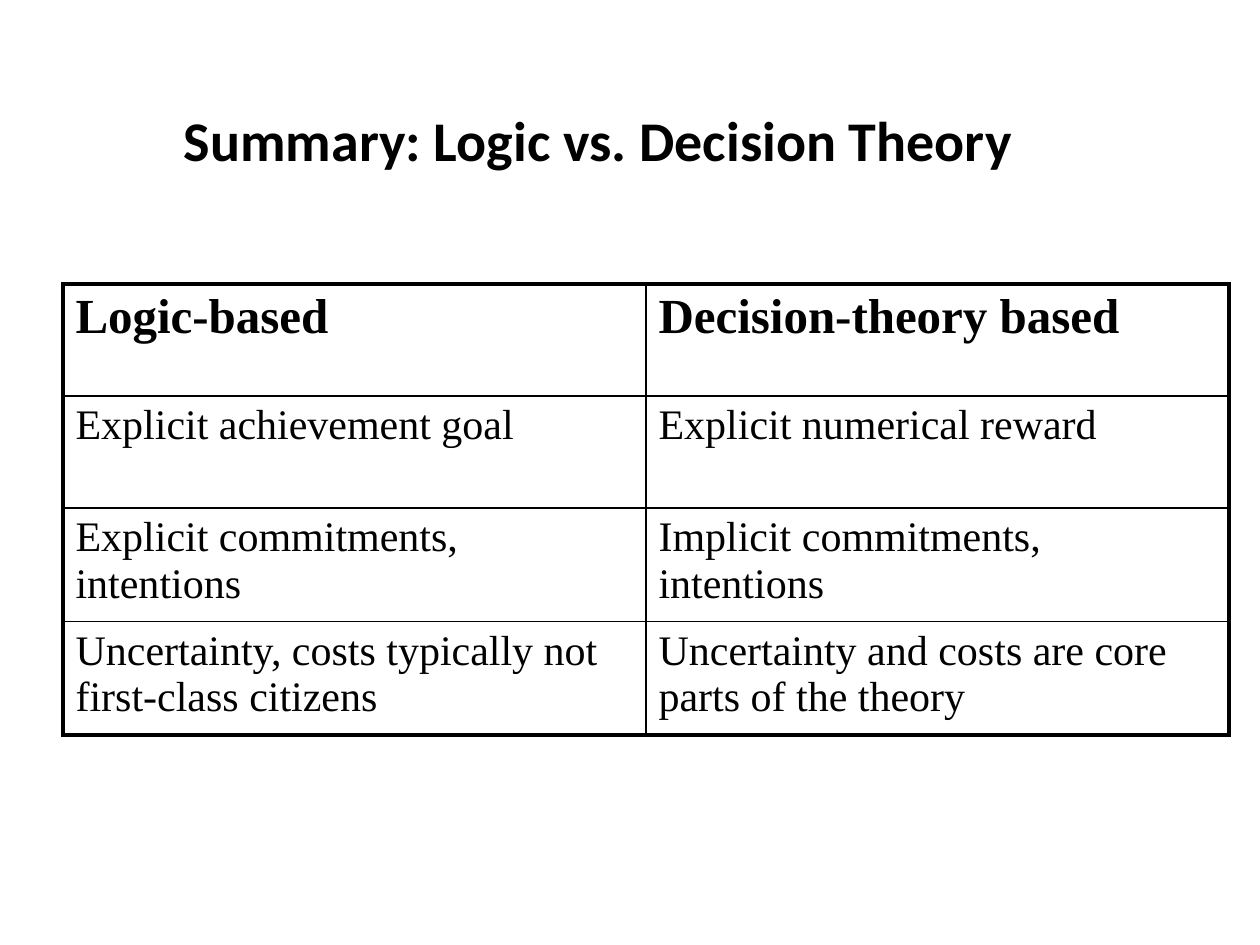
from dataclasses import dataclass

import pptx
import pptx.dml.color
import pptx.enum.text
import pptx.oxml
import pptx.oxml.ns
import pptx.table
import pptx.util

BLACK = pptx.dml.color.RGBColor(0x00, 0x00, 0x00)
EMU_PER_PX = 914400 / 126
THICK, THIN = 2.25, 1


@dataclass(frozen=True)
class ComparisonRow:
    logic: str
    decision: str
    size: int = 24
    bold: bool = False


ROWS = [
    ComparisonRow("Logic-based", "Decision-theory based", 28, True),
    ComparisonRow("Explicit achievement goal", "Explicit numerical reward"),
    ComparisonRow("Explicit commitments, intentions", "Implicit commitments, intentions"),
    ComparisonRow("Uncertainty, costs typically not first-class citizens",
                  "Uncertainty and costs are core parts of the theory"),
]


def px(n: int) -> pptx.util.Emu:
    return pptx.util.Emu(round(n * EMU_PER_PX))


def style(font, name: str, size: int, bold: bool) -> None:
    font.name = name
    font.size = pptx.util.Pt(size)
    font.bold = bold
    font.color.rgb = BLACK


def set_border(cell: pptx.table._Cell, side: str, width: float) -> None:
    ln = pptx.oxml.parse_xml(
        f'<a:ln{side} {pptx.oxml.ns.nsdecls("a")} w="{pptx.util.Pt(width)}">'
        f'<a:solidFill><a:srgbClr val="{BLACK}"/></a:solidFill></a:ln{side}>')
    cell._tc.get_or_add_tcPr().append(ln)


def add_title(slide, text: str) -> None:
    tf = slide.shapes.add_textbox(px(63), px(21), px(1071), px(158)).text_frame
    tf.word_wrap = True
    tf.vertical_anchor = pptx.enum.text.MSO_ANCHOR.BOTTOM
    p = tf.paragraphs[0]
    p.text = text
    p.alignment = pptx.enum.text.PP_ALIGN.CENTER
    style(p.font, "Calibri", 32, True)


def add_comparison(slide, rows: list[ComparisonRow]) -> None:
    row_height = px(112)
    table = slide.shapes.add_table(
        len(rows), 2, px(63), px(284), px(1166), row_height * len(rows)).table
    table.first_row = False
    table.horz_banding = False
    last = len(rows) - 1
    for i, row in enumerate(rows):
        table.rows[i].height = row_height
        for j, text in enumerate((row.logic, row.decision)):
            cell = table.cell(i, j)
            p = cell.text_frame.paragraphs[0]
            p.text = text
            style(p.font, "Times New Roman", row.size, row.bold)
            outer = {"L": j == 0, "R": j == 1, "T": i == 0, "B": i == last}
            for side, is_outer in outer.items():
                set_border(cell, side, THICK if is_outer else THIN)
            cell.fill.background()


prs = pptx.Presentation()
prs.slide_width, prs.slide_height = px(1260), px(945)
slide = prs.slides.add_slide(prs.slide_layouts[6])
add_title(slide, "Summary: Logic vs. Decision Theory")
add_comparison(slide, ROWS)
prs.save("out.pptx")
